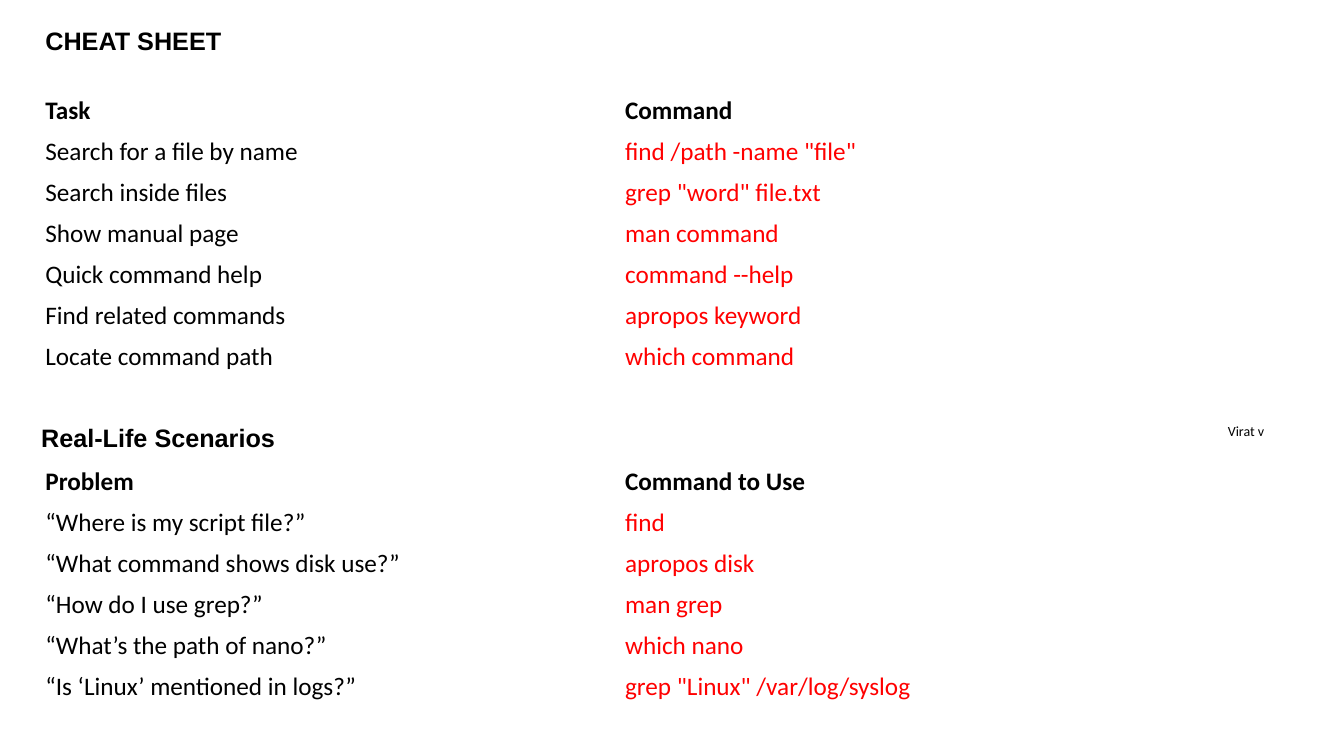
from pptx import Presentation
from pptx.dml.color import RGBColor
from pptx.enum.text import MSO_ANCHOR, MSO_AUTO_SIZE, PP_ALIGN
from pptx.util import Inches, Pt

COLORS = {"text": "000000", "command": "FF0000"}
ROW_HEIGHT = 0.4
COLUMN_WIDTH = 5.75


def write(frame, text, font="Calibri", size=18, color="text", bold=False,
          wrap=True, anchor=MSO_ANCHOR.TOP):
    frame.word_wrap = wrap
    frame.vertical_anchor = anchor
    paragraph = frame.paragraphs[0]
    paragraph.alignment = PP_ALIGN.LEFT
    run = paragraph.add_run()
    run.text = text
    run.font.name = font
    run.font.size = Pt(size)
    run.font.bold = bold
    run.font.color.rgb = RGBColor.from_string(COLORS[color])


cheat_sheet = [
    ("Task", "Command"),
    ("Search for a file by name", 'find /path -name "file"'),
    ("Search inside files", 'grep "word" file.txt'),
    ("Show manual page", "man command"),
    ("Quick command help", "command --help"),
    ("Find related commands", "apropos keyword"),
    ("Locate command path", "which command"),
]
scenarios = [
    ("Problem", "Command to Use"),
    ("“Where is my script file?”", "find"),
    ("“What command shows disk use?”", "apropos disk"),
    ("“How do I use grep?”", "man grep"),
    ("“What’s the path of nano?”", "which nano"),
    ("“Is ‘Linux’ mentioned in logs?”", 'grep "Linux" /var/log/syslog'),
]

prs = Presentation()
prs.slide_width = Inches(13.33)
prs.slide_height = Inches(7.5)
slide = prs.slides.add_slide(prs.slide_layouts[5])

title = slide.shapes.title
title.left, title.top = Inches(0.35), Inches(0.2)
title.width, title.height = Inches(1.96), Inches(0.71)
title.text_frame.auto_size = MSO_AUTO_SIZE.NONE
write(title.text_frame, "CHEAT SHEET", font="Arial", bold=True, wrap=False)

for top, entries in [(0.9, cheat_sheet), (4.58, scenarios)]:
    table = slide.shapes.add_table(
        len(entries), 2, Inches(0.35), Inches(top),
        Inches(2 * COLUMN_WIDTH), Inches(ROW_HEIGHT * len(entries))).table
    table.first_row = False
    table.horz_banding = False
    for row, entry in enumerate(entries):
        for column, text in enumerate(entry):
            cell = table.cell(row, column)
            cell.fill.background()
            cell.vertical_anchor = MSO_ANCHOR.MIDDLE
            write(cell.text_frame, text, bold=row == 0, anchor=MSO_ANCHOR.MIDDLE,
                  color="command" if row and column else "text")

scenarios_heading = slide.shapes.add_textbox(
    Inches(0.31), Inches(4.14), Inches(2.61), Inches(0.71))
write(scenarios_heading.text_frame, "Real-Life Scenarios",
      font="Arial", bold=True, wrap=False)

author = slide.shapes.add_textbox(
    Inches(12.08), Inches(4.14), Inches(1.25), Inches(0.27))
write(author.text_frame, "Virat v", size=10)

prs.save("out.pptx")
